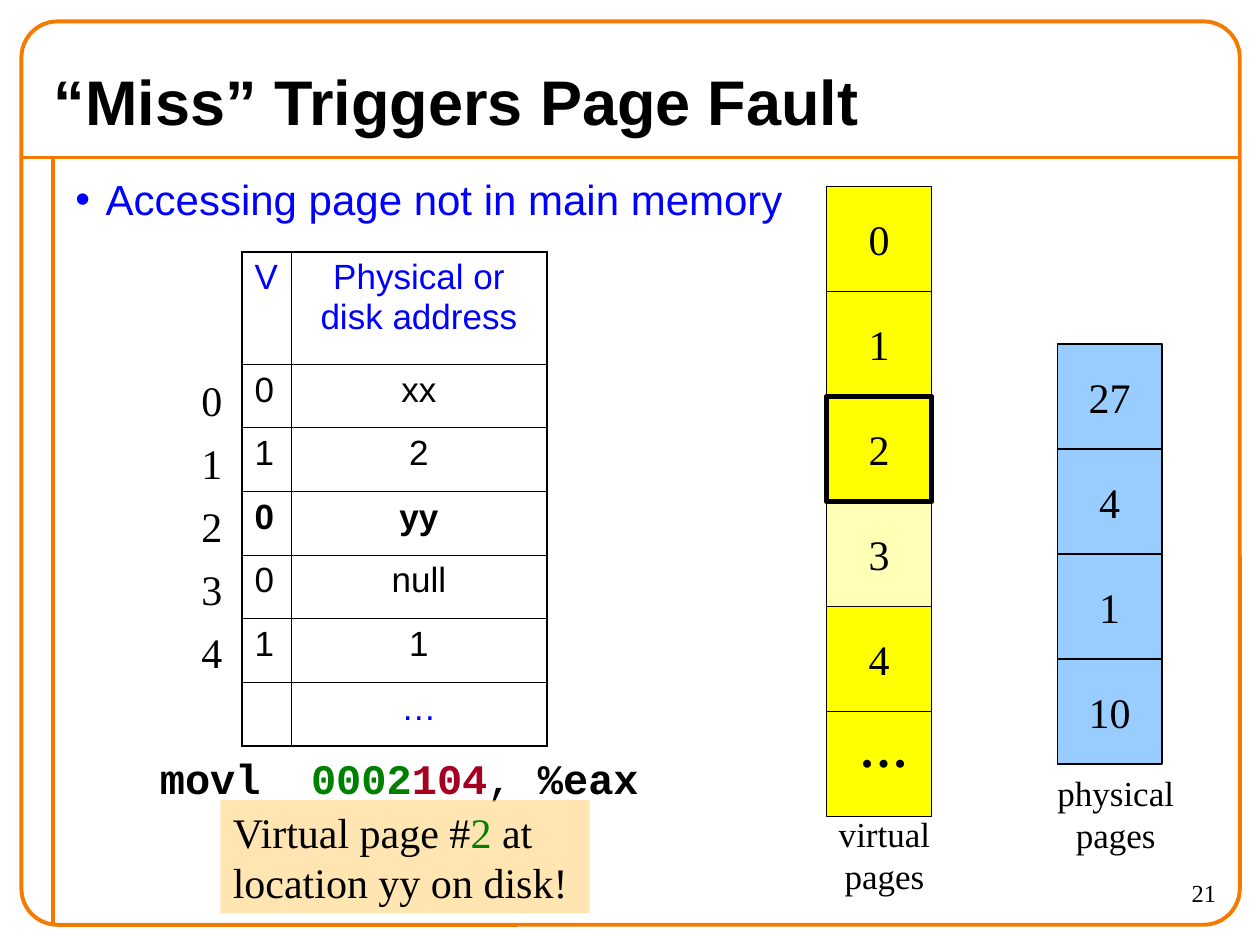
import lxml.etree
import pptx
import pptx.dml.color
import pptx.enum.shapes
import pptx.enum.text
import pptx.oxml.ns
import pptx.util

Inches = pptx.util.Inches
Pt = pptx.util.Pt
RGBColor = pptx.dml.color.RGBColor
ALIGN = pptx.enum.text.PP_ALIGN
MIDDLE = pptx.enum.text.MSO_ANCHOR.MIDDLE
SHAPE = pptx.enum.shapes.MSO_SHAPE
qn = pptx.oxml.ns.qn

BLACK = RGBColor(0x00, 0x00, 0x00)
BLUE = RGBColor(0x00, 0x00, 0xFF)
GREEN = RGBColor(0x00, 0x80, 0x00)
RED = RGBColor(0xA5, 0x00, 0x21)
ORANGE = RGBColor(0xF4, 0x7A, 0x00)
YELLOW = RGBColor(0xFF, 0xFF, 0x00)
LIGHT_BLUE = RGBColor(0x99, 0xCC, 0xFF)
SAND = RGBColor(0xFF, 0xCC, 0x66)
SANS, SERIF, MONO = "Arial", "Times New Roman", "Courier New"


def write(frame, text, size, font=SERIF, color=BLACK, align=ALIGN.LEFT,
          bold=False, wrap=True):
    """Fill a text frame, one paragraph per line, in a single style."""
    frame.text = text
    frame.word_wrap = wrap
    for paragraph in frame.paragraphs:
        paragraph.alignment = align
        for run in paragraph.runs:
            run.font.size = Pt(size)
            run.font.name = font
            run.font.bold = bold
            run.font.color.rgb = color


def set_opacity(shape, percent):
    color = shape.fill._xPr.find(qn("a:solidFill"))[0]
    lxml.etree.SubElement(color, qn("a:alpha"), val=str(percent * 1000))


deck = pptx.Presentation()
deck.slide_width, deck.slide_height = Inches(10), Inches(7.5)
slide = deck.slides.add_slide(deck.slide_layouts[6])
shapes = slide.shapes

# Frame and rules
for x1, y1, x2, y2 in [(0.17, 1.25, 9.83, 1.25), (0.42, 1.25, 0.42, 7.33)]:
    rule = shapes.add_connector(pptx.enum.shapes.MSO_CONNECTOR.STRAIGHT,
                                Inches(x1), Inches(y1), Inches(x2), Inches(y2))
    rule.line.color.rgb = ORANGE
    rule.line.width = Pt(2.25)
    lxml.etree.SubElement(rule._element.spPr, qn("a:effectLst"))
border = shapes.add_shape(SHAPE.ROUNDED_RECTANGLE, Inches(0.17), Inches(0.17),
                          Inches(9.67), Inches(7.17))
border.adjustments[0] = 0.04
border.shadow.inherit = False
border.fill.background()
border.line.color.rgb = ORANGE
border.line.width = Pt(2.25)

# Title, page number and bullet
slide_number = shapes.add_textbox(Inches(8.75), Inches(6.92), Inches(1), Inches(0.42))
write(slide_number.text_frame, "21", 14, align=ALIGN.RIGHT)
title = shapes.add_textbox(Inches(0.33), Inches(0.42), Inches(9.33), Inches(0.75))
title.text_frame.vertical_anchor = MIDDLE
write(title.text_frame, "“Miss” Triggers Page Fault", 36, SANS, bold=True)

body = shapes.add_textbox(Inches(0.5), Inches(1.33), Inches(9.25), Inches(6))
write(body.text_frame, "Accessing page not in main memory", 24, SANS, BLUE)
bullet_props = body.text_frame.paragraphs[0]._p.get_or_add_pPr()
bullet_props.set("marL", str(Inches(0.24)))
bullet_props.set("indent", str(Inches(-0.24)))
lxml.etree.SubElement(bullet_props, qn("a:buFont"), typeface=SANS)
lxml.etree.SubElement(bullet_props, qn("a:buChar"), char="•")

# Page table
entries = [("V", "Physical or disk address"), ("0", "xx"), ("1", "2"),
           ("0", "yy"), ("0", "null"), ("1", "1"), ("", "…")]
FAULT_ROW, LAST_ROW = 3, len(entries) - 1
page_table = shapes.add_table(len(entries), 2, Inches(1.92), Inches(2),
                              Inches(2.42), Inches(3.92)).table
page_table.first_row = page_table.horz_banding = False
page_table.columns[0].width = Inches(0.39)
page_table.columns[1].width = Inches(2.03)
for r, entry in enumerate(entries):
    page_table.rows[r].height = Inches(0.89 if r == 0 else 3.03 / LAST_ROW)
    for c, text in enumerate(entry):
        cell = page_table.cell(r, c)
        write(cell.text_frame, text, 20, SANS,
              color=BLUE if r in (0, LAST_ROW) else BLACK,
              align=ALIGN.CENTER if c else ALIGN.LEFT, bold=r == FAULT_ROW)
        cell.fill.background()
        outer_edges = [("lnL", c == 0), ("lnR", c == 1),
                       ("lnT", r == 0), ("lnB", r == LAST_ROW)]
        for position, (edge, outer) in enumerate(outer_edges):
            line = lxml.etree.Element(qn("a:" + edge), w=str(Pt(1.08 if outer else 0.45)))
            fill = lxml.etree.SubElement(line, qn("a:solidFill"))
            lxml.etree.SubElement(fill, qn("a:srgbClr"), val=str(BLACK))
            cell._tc.get_or_add_tcPr().insert(position, line)

for index in range(5):
    row_label = shapes.add_textbox(Inches(1.5), Inches(2.92 + 0.5 * index),
                                   Inches(0.36), Inches(0.5))
    write(row_label.text_frame, str(index), 24, wrap=False)

# Virtual and physical pages; the faulting page is drawn over its neighbours
PAGE_SIZE = 2.5 / 3
FAULT_PAGE, FADED_PAGE = "2", "3"
page_stacks = [(6.56, 1.48, YELLOW, ["0", "1", "2", "3", "4", ""]),
               (8.39, 2.73, LIGHT_BLUE, ["27", "4", "1", "10"])]
for left, top, color, pages in page_stacks:
    for index, page in sorted(enumerate(pages), key=lambda item: item[1] == FAULT_PAGE):
        box = shapes.add_shape(SHAPE.RECTANGLE, Inches(left),
                               Inches(top + PAGE_SIZE * index),
                               Inches(PAGE_SIZE), Inches(PAGE_SIZE))
        box.shadow.inherit = False
        box.fill.solid()
        box.fill.fore_color.rgb = color
        box.line.color.rgb = BLACK
        box.line.width = Pt(3.25 if page == FAULT_PAGE else 0.75)
        if page == FADED_PAGE:
            set_opacity(box, 29)
        box.text_frame.vertical_anchor = MIDDLE
        write(box.text_frame, page, 24, align=ALIGN.CENTER, wrap=False)

for left, top, width, caption in [(6.46, 6.4, 1.12, "virtual\npages"),
                                  (8.25, 6.07, 1.21, "physical\npages")]:
    stack_label = shapes.add_textbox(Inches(left), Inches(top), Inches(width), Inches(0.77))
    write(stack_label.text_frame, caption, 20, align=ALIGN.CENTER, wrap=False)
more_pages = shapes.add_textbox(Inches(6.72), Inches(5.65), Inches(0.59), Inches(0.57))
write(more_pages.text_frame, "…", 28, bold=True, wrap=False)

# Instruction and explanation, with coloured address parts
instruction = shapes.add_textbox(Inches(1.17), Inches(5.92), Inches(4.58), Inches(0.5))
explanation = shapes.add_shape(SHAPE.RECTANGLE, Inches(1.75), Inches(6.35),
                               Inches(2.93), Inches(0.9))
explanation.shadow.inherit = False
explanation.fill.solid()
explanation.fill.fore_color.rgb = SAND
set_opacity(explanation, 50)
explanation.line.fill.background()
explanation.text_frame.vertical_anchor = pptx.enum.text.MSO_ANCHOR.TOP

coloured_lines = [
    (instruction, MONO, [("movl  ", BLACK, True), ("0002", GREEN, True),
                         ("104", RED, True), (",", BLACK, False),
                         (" %eax", BLACK, True)]),
    (explanation, SERIF, [("Virtual page #", BLACK, False), ("2", GREEN, False),
                          (" at location yy on disk!", BLACK, False)]),
]
for box, font, pieces in coloured_lines:
    box.text_frame.word_wrap = True
    paragraph = box.text_frame.paragraphs[0]
    paragraph.alignment = ALIGN.LEFT
    for text, color, bold in pieces:
        run = paragraph.add_run()
        run.text = text
        run.font.size = Pt(24)
        run.font.name = font
        run.font.bold = bold
        run.font.color.rgb = color

deck.save("out.pptx")
